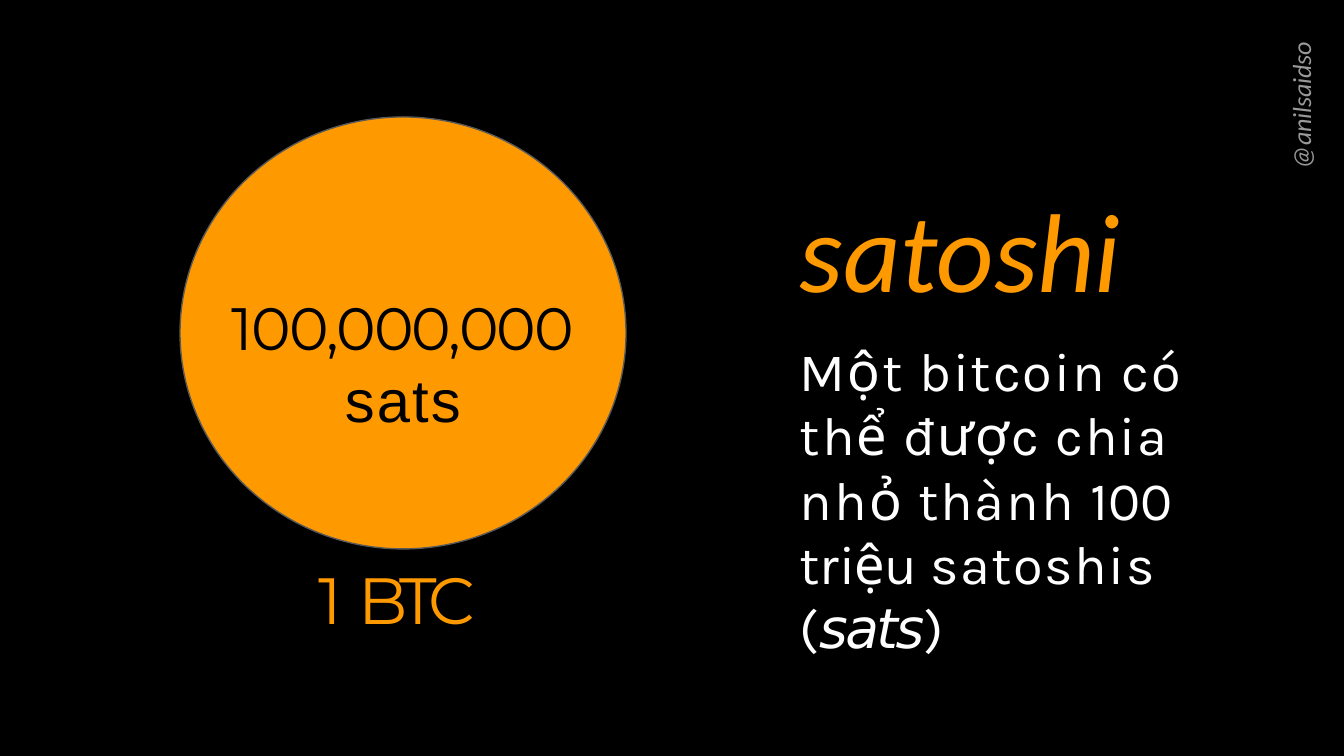
from dataclasses import dataclass

import pptx
import pptx.dml.color
import pptx.enum.shapes
import pptx.enum.text
import pptx.util

PAGE_WIDTH, PAGE_HEIGHT = 1344, 756
SCALE = pptx.util.Inches(10) / PAGE_WIDTH

COLORS = {
    "black": "000000",
    "white": "FFFFFF",
    "orange": "FF9900",
    "gray": "999999",
    "outline": "595959",
}
LEFT = pptx.enum.text.PP_ALIGN.LEFT
CENTER = pptx.enum.text.PP_ALIGN.CENTER
SHAPES = pptx.enum.shapes.MSO_SHAPE


@dataclass
class Span:
    text: str
    size: float
    font: str
    color: str
    spacing: float = 0
    italic: bool = False


def px(length: int) -> int:
    return pptx.util.Emu(round(length * SCALE))


def rgb(name: str) -> pptx.dml.color.RGBColor:
    return pptx.dml.color.RGBColor.from_string(COLORS[name])


def place(box, left: int, top: int, width: int, height: int) -> None:
    box.left, box.top, box.width, box.height = map(px, (left, top, width, height))


def add_filled(page, kind, bounds: tuple[int, int, int, int], fill: str,
               outline: str | None = None):
    shape = page.shapes.add_shape(kind, *map(px, bounds))
    shape.shadow.inherit = False
    shape.fill.solid()
    shape.fill.fore_color.rgb = rgb(fill)
    if outline:
        shape.line.color.rgb = rgb(outline)
        shape.line.width = pptx.util.Pt(0.75)
    else:
        shape.line.fill.background()
    return shape


def add_span(para, span: Span) -> None:
    run = para.add_run()
    run.text = span.text
    run.font.size = pptx.util.Pt(span.size)
    run.font.name = span.font
    run.font.italic = span.italic
    run.font.color.rgb = rgb(span.color)
    # Letter spacing is stored in hundredths of a point
    run.font._element.set("spc", str(round(span.spacing * 100)))


def write(box, paragraphs: list[list[Span]], *, align=LEFT, line_spacing=1.0,
          top_inset: int = 0, vertical: bool = False) -> None:
    frame = box.text_frame
    frame.word_wrap = True
    frame.auto_size = pptx.enum.text.MSO_AUTO_SIZE.NONE
    frame.vertical_anchor = pptx.enum.text.MSO_ANCHOR.TOP
    frame.margin_left = frame.margin_right = frame.margin_bottom = 0
    frame.margin_top = px(top_inset)
    if vertical:
        frame._txBody.bodyPr.set("vert", "vert270")
    for index, spans in enumerate(paragraphs):
        para = frame.add_paragraph() if index else frame.paragraphs[0]
        para.alignment = align
        para.line_spacing = line_spacing
        para.space_before = pptx.util.Pt(0)
        for span in spans:
            add_span(para, span)


def add_text(page, bounds: tuple[int, int, int, int],
             paragraphs: list[list[Span]], **style) -> None:
    box = page.shapes.add_textbox(*map(px, bounds))
    write(box, paragraphs, **style)


def main() -> None:
    deck = pptx.Presentation()
    deck.slide_width, deck.slide_height = px(PAGE_WIDTH), px(PAGE_HEIGHT)
    page = deck.slides.add_slide(deck.slide_layouts[5])

    # Black backdrop, sent behind the title
    backdrop = add_filled(page, SHAPES.RECTANGLE, (0, 0, PAGE_WIDTH, PAGE_HEIGHT), "black")
    title = page.shapes.title
    title._element.addprevious(backdrop._element)

    # Title
    place(title, 800, 179, 328, 138)
    write(title, [[Span("satoshi", 60, "Calibri", "orange", -0.1, True)]], top_inset=1)

    # Definition
    definition = [
        Span("Một bitcoin có thể được chia nhỏ thành ", 29, "Karla", "white", 1),
        Span("100 triệu ", 29, "Karla", "white", -0.2),
        Span("satoshis ", 29, "Karla", "white", 0.8),
        Span("(", 29, "Karla", "white"),
        Span("sats", 29.5, "DejaVu Sans", "white", -1.4, True),
        Span(")", 29, "Karla", "white", -1.4),
    ]
    add_text(page, (800, 333, 478, 269), [definition],
             line_spacing=pptx.util.Pt(34.5), top_inset=5)

    # Author handle along the right edge
    add_text(page, (1285, 32, 36, 137),
             [[Span("@anilsaidso", 14, "Calibri", "gray", -0.1, True)]], vertical=True)

    # Coin
    add_filled(page, SHAPES.OVAL, (180, 117, 446, 432), "orange", "outline")

    # Coin labels
    add_text(page, (318, 558, 173, 82),
             [[Span("1", 35, "Montserrat", "orange", -8.2),
               Span(" ", 35, "Montserrat", "orange"),
               Span("BTC", 35, "Montserrat", "orange", -4.2)]], top_inset=1)
    add_text(page, (213, 289, 380, 146),
             [[Span("100,000,000", 32, "Montserrat", "black", -1)],
              [Span("sats", 32, "Arial", "black", 1.1)]], align=CENTER, top_inset=2)

    deck.save("out.pptx")


if __name__ == "__main__":
    main()
